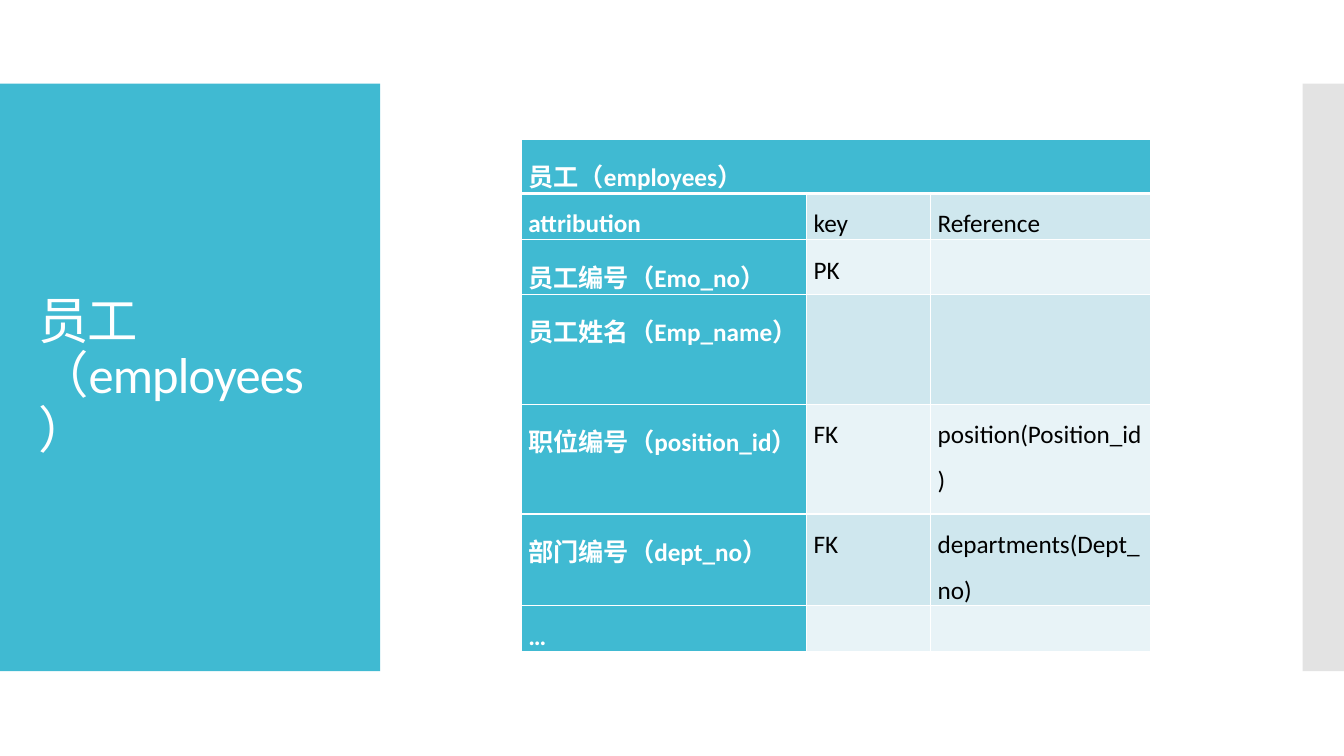
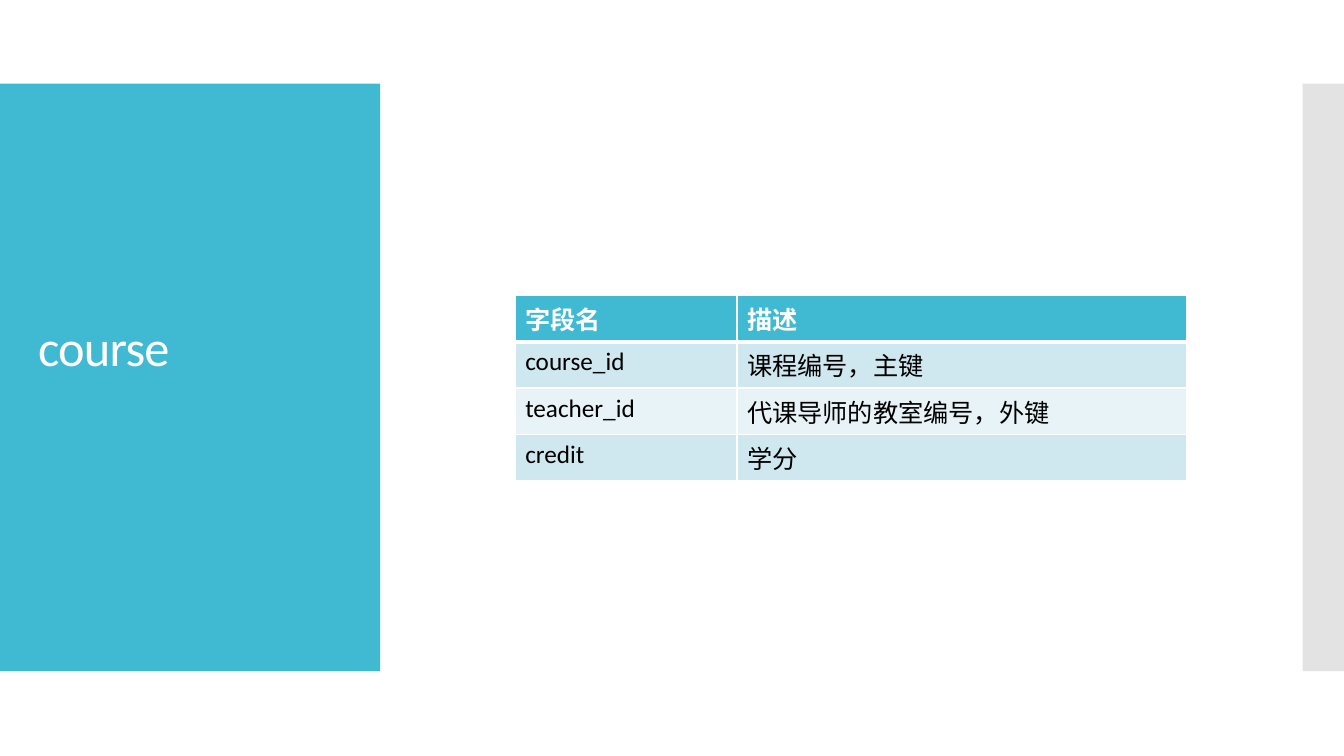
from dataclasses import dataclass

import lxml.etree
import pptx
import pptx.dml.color
import pptx.enum.shapes
import pptx.enum.text
import pptx.oxml.ns
import pptx.util

Inches = pptx.util.Inches
Pt = pptx.util.Pt
qualified = pptx.oxml.ns.qn


@dataclass(frozen=True)
class Theme:
    font: str = "Calibri"
    accent: str = "40BAD2"
    edge: str = "C8C8C8"
    edge_opacity: int = 50
    light: str = "FFFFFF"
    dark: str = "000000"
    bands: tuple = ("CFE7EE", "E8F3F7")
    title_size: int = 36
    title_tracking: int = -60
    table_size: int = 18
    border: int = 1
    header_border: int = 3


class Deck:
    def __init__(self, theme):
        self.theme = theme
        self.presentation = pptx.Presentation()
        self.presentation.slide_width = Inches(13.33)
        self.presentation.slide_height = Inches(7.5)
        self.slide = None

    def add_slide(self, title, title_lift=0):
        self.slide = self.presentation.slides.add_slide(self.presentation.slide_layouts[6])
        self.add_band(0, 3.77, self.theme.accent)
        self.add_band(12.92, 0.41, self.theme.edge, self.theme.edge_opacity)
        self.add_title(title, title_lift)

    def add_band(self, left, width, color, opacity=100):
        band = self.slide.shapes.add_shape(
            pptx.enum.shapes.MSO_SHAPE.RECTANGLE,
            Inches(left), Inches(0.83), Inches(width), Inches(5.83),
        )
        band.shadow.inherit = False
        band.line.fill.background()
        self.paint(band.fill, color)
        if opacity < 100:
            color_element = band.fill._xPr.find(qualified("a:solidFill"))[0]
            alpha = lxml.etree.SubElement(color_element, qualified("a:alpha"))
            alpha.set("val", str(opacity * 1000))

    def add_title(self, text, lift):
        box = self.slide.shapes.add_textbox(Inches(0.28), Inches(1.23), Inches(3.22), Inches(5.03))
        frame = box.text_frame
        frame.word_wrap = True
        frame.vertical_anchor = pptx.enum.text.MSO_ANCHOR.MIDDLE
        frame.margin_bottom = Inches(0.05 + lift)
        frame.text = text
        paragraph = frame.paragraphs[0]
        paragraph.line_spacing = 0.9
        self.format_runs(paragraph, self.theme.title_size, self.theme.light)
        for run in paragraph.runs:
            run.font._element.set("spc", str(self.theme.title_tracking))

    def add_table(self, left, top, widths, heights, rows, header_column=False,
                  justified_rows=(), line_spacing=None, margins=None):
        shape = self.slide.shapes.add_table(
            len(rows), len(widths), Inches(left), Inches(top),
            Inches(sum(widths)), Inches(sum(heights)),
        )
        table = shape.table
        table.horz_banding = False
        for column, width in zip(table.columns, widths):
            column.width = Inches(width)
        for row, height in zip(table.rows, heights):
            row.height = Inches(height)
        for row_index, texts in enumerate(rows):
            for column_index in range(len(widths)):
                cell = table.cell(row_index, column_index)
                text = texts[column_index] if column_index < len(texts) else ""
                is_header = row_index == 0 or (header_column and column_index == 0)
                self.fill_cell(cell, text, row_index, is_header)
                if margins:
                    cell.margin_left = cell.margin_right = Inches(margins[0])
                    cell.margin_top = cell.margin_bottom = Inches(margins[1])
                paragraph = cell.text_frame.paragraphs[0]
                if text and line_spacing:
                    paragraph.line_spacing = line_spacing
                if column_index == 0 and row_index in justified_rows:
                    paragraph.alignment = pptx.enum.text.PP_ALIGN.JUSTIFY
            if len(texts) == 1:
                table.cell(row_index, 0).merge(table.cell(row_index, len(widths) - 1))

    def fill_cell(self, cell, text, row_index, is_header):
        theme = self.theme
        cell.text_frame.text = text
        color = theme.light if is_header else theme.dark
        self.format_runs(cell.text_frame.paragraphs[0], theme.table_size, color, is_header)
        self.paint(cell.fill, theme.accent if is_header else theme.bands[(row_index + 1) % 2])
        widths = {
            "L": theme.border,
            "R": theme.border,
            "T": theme.header_border if row_index == 1 else theme.border,
            "B": theme.header_border if row_index == 0 else theme.border,
        }
        properties = cell._tc.get_or_add_tcPr()
        for position, (side, width) in enumerate(widths.items()):
            line = lxml.etree.Element(qualified(f"a:ln{side}"), w=str(Pt(width)))
            fill = lxml.etree.SubElement(line, qualified("a:solidFill"))
            lxml.etree.SubElement(fill, qualified("a:srgbClr"), val=theme.light)
            properties.insert(position, line)

    def format_runs(self, paragraph, size, color, bold=False):
        for run in paragraph.runs:
            run.font.name = self.theme.font
            run.font.size = Pt(size)
            run.font.bold = bold
            run.font.color.rgb = pptx.dml.color.RGBColor.from_string(color)

    def paint(self, fill, color):
        fill.solid()
        fill.fore_color.rgb = pptx.dml.color.RGBColor.from_string(color)


def main():
    deck = Deck(Theme())

    deck.add_slide("员工（employees）")
    deck.add_table(
        5.17, 1.38,
        widths=(2.83, 1.23, 2.18),
        heights=(0.54, 0.46, 0.54, 1.09, 1.09, 0.91, 0.46),
        rows=(
            ("员工（employees）",),
            ("attribution", "key", "Reference"),
            ("员工编号（Emo_no）", "PK", ""),
            ("员工姓名（Emp_name）", "", ""),
            ("职位编号（position_id）", "FK", "position(Position_id)"),
            ("部门编号（dept_no）", "FK", "departments(Dept_no)"),
            ("…", "", ""),
        ),
        header_column=True,
        justified_rows=(1, 2, 4, 5, 6),
        line_spacing=1.5,
        margins=(0.07, 0),
    )

    deck.add_slide("course", title_lift=0.54)
    deck.add_table(
        5.11, 2.93,
        widths=(2.2, 4.46),
        heights=(0.46,) * 4,
        rows=(
            ("字段名", "描述"),
            ("course_id", "课程编号，主键"),
            ("teacher_id", "代课导师的教室编号，外键"),
            ("credit", "学分"),
        ),
    )

    deck.presentation.save("out.pptx")


if __name__ == "__main__":
    main()
